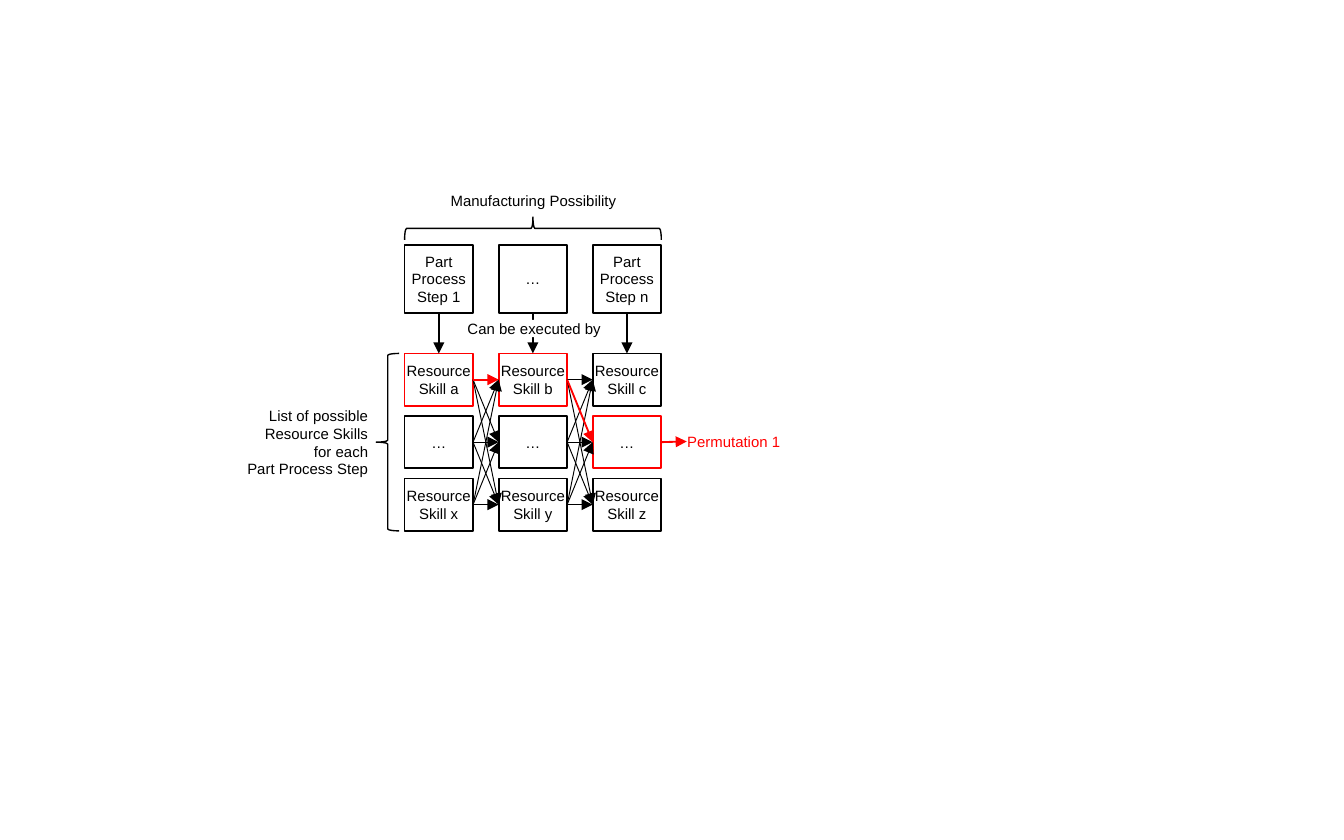
from dataclasses import dataclass

from lxml import etree
from pptx import Presentation
from pptx import util as u
from pptx.dml import color
from pptx.enum import shapes, text
from pptx.oxml import ns


@dataclass(frozen=True)
class Theme:
    black: color.RGBColor = color.RGBColor(0, 0, 0)
    white: color.RGBColor = color.RGBColor(255, 255, 255)
    red: color.RGBColor = color.RGBColor(255, 0, 0)
    font: str = "Arial"
    size: float = 8
    thick: float = 1
    medium: float = 0.75
    thin: float = 0.5


@dataclass(frozen=True)
class Box:
    left: float
    top: float
    width: float
    height: float

    def inches(self):
        return [u.Inches(v) for v in (self.left, self.top, self.width, self.height)]

    def cell(self, column, row, columns, rows, width, height):
        step_x = (self.width - width) / max(columns - 1, 1)
        step_y = (self.height - height) / max(rows - 1, 1)
        return Box(self.left + column * step_x, self.top + row * step_y, width, height)


THEME = Theme()
CENTER = text.PP_ALIGN.CENTER
BOTTOM, LEFT, TOP, RIGHT = 2, 1, 0, 3


def apply_format(target, values):
    for name, value in values.items():
        setattr(target, name, value)


def write_text(shape, wording, ink=THEME.black, align=CENTER, **extra):
    frame = shape.text_frame
    frame.text = wording
    apply_format(frame, {
        "margin_left": 0, "margin_right": 0, "margin_top": 0, "margin_bottom": 0,
        "vertical_anchor": text.MSO_ANCHOR.MIDDLE, "word_wrap": True, **extra,
    })
    for paragraph in frame.paragraphs:
        paragraph.alignment = align
        for run in paragraph.runs:
            apply_format(run.font, {"name": THEME.font, "size": u.Pt(THEME.size)})
            run.font.color.rgb = ink


def add_label(slide, box, wording, ink=THEME.black, align=CENTER, fill=None):
    label = slide.shapes.add_textbox(*box.inches())
    if fill is not None:
        label.fill.solid()
        label.fill.fore_color.rgb = fill
    write_text(label, wording, ink, align, word_wrap=False,
               auto_size=text.MSO_AUTO_SIZE.SHAPE_TO_FIT_TEXT)
    return label


def add_node(slide, box, wording, ink=THEME.black):
    node = slide.shapes.add_shape(shapes.MSO_SHAPE.RECTANGLE, *box.inches())
    node.shadow.inherit = False
    node.fill.solid()
    node.fill.fore_color.rgb = THEME.white
    node.line.color.rgb = ink
    node.line.width = u.Pt(THEME.thick)
    write_text(node, wording)
    return node


def add_arrow(slide, start, end, sides=(RIGHT, LEFT), ink=THEME.black, weight=THEME.thick):
    arrow = slide.shapes.add_connector(shapes.MSO_CONNECTOR.STRAIGHT, 0, 0, 0, 0)
    arrow.begin_connect(start, sides[0])
    arrow.end_connect(end, sides[1])
    arrow.line.color.rgb = ink
    arrow.line.width = u.Pt(weight)
    outline = arrow.line._get_or_add_ln()
    etree.SubElement(outline, ns.qn("a:tailEnd"), type="triangle")
    etree.SubElement(arrow._element.spPr, ns.qn("a:effectLst"))


def add_brace(slide, box, rotation=0):
    brace = slide.shapes.add_shape(shapes.MSO_SHAPE.LEFT_BRACE, *box.inches())
    brace.shadow.inherit = False
    brace.fill.background()
    brace.line.color.rgb = THEME.black
    brace.line.width = u.Pt(THEME.medium)
    brace.rotation = rotation


def add_process_steps(slide, box):
    middle = box.left + box.width / 2
    depth = 0.17
    add_label(slide, Box(middle - 0.62, box.top - 0.39, 1.25, 0.13),
              "Manufacturing Possibility")
    add_brace(slide, Box(middle - depth / 2, box.top - 0.12 - box.width / 2,
                         depth, box.width), rotation=90)
    wordings = ["Part Process Step 1", "…", "Part Process Step n"]
    return [
        add_node(slide, box.cell(column, 0, len(wordings), 1, 0.51, box.height), wording)
        for column, wording in enumerate(wordings)
    ]


def add_skill_grid(slide, box, chosen_rows):
    add_label(slide, Box(box.left - 1.18, box.top + 0.39, 0.91, 0.54),
              "List of possible\vResource Skills\vfor each\vPart Process Step",
              align=text.PP_ALIGN.RIGHT)
    add_brace(slide, Box(box.left - 0.21, box.top, 0.17, box.height))
    columns = []
    for column, (letters, chosen) in enumerate(zip(["a x", "b y", "c z"], chosen_rows)):
        first, last = letters.split()
        wordings = [f"Resource\nSkill {first}", "…", f"Resource\nSkill {last}"]
        columns.append([
            add_node(slide, box.cell(column, row, 3, 3, 0.51, 0.39), wording,
                     THEME.red if row == chosen else THEME.black)
            for row, wording in enumerate(wordings)
        ])
    return columns


def add_execution_arrows(slide, box, steps, skills):
    for step, column in zip(steps, skills):
        add_arrow(slide, step, column[0], sides=(BOTTOM, TOP))
    add_label(slide, box, "Can be executed by", fill=THEME.white)


def add_permutations(slide, box, skills, chosen_rows):
    chosen_path = [column[row] for column, row in zip(skills, chosen_rows)]
    chosen_pairs = list(zip(chosen_path, chosen_path[1:]))
    for starts, ends in zip(skills, skills[1:]):
        for start in starts:
            for end in ends:
                if (start, end) not in chosen_pairs:
                    add_arrow(slide, start, end, weight=THEME.thin)
    result = add_label(slide, box, "Permutation 1", THEME.red)
    for start, end in chosen_pairs + [(chosen_path[-1], result)]:
        add_arrow(slide, start, end, ink=THEME.red)


def main():
    presentation = Presentation()
    apply_format(presentation, {"slide_width": u.Inches(10), "slide_height": u.Inches(6.25)})
    slide = presentation.slides.add_slide(presentation.slide_layouts[6])
    chosen_rows = [0, 0, 1]
    steps = add_process_steps(slide, Box(3.01, 1.82, 1.91, 0.51))
    skills = add_skill_grid(slide, Box(3.01, 2.63, 1.91, 1.32), chosen_rows)
    add_execution_arrows(slide, Box(3.47, 2.38, 1.01, 0.13), steps, skills)
    add_permutations(slide, Box(5.11, 3.22, 0.7, 0.13), skills, chosen_rows)
    presentation.save("out.pptx")


if __name__ == "__main__":
    main()
